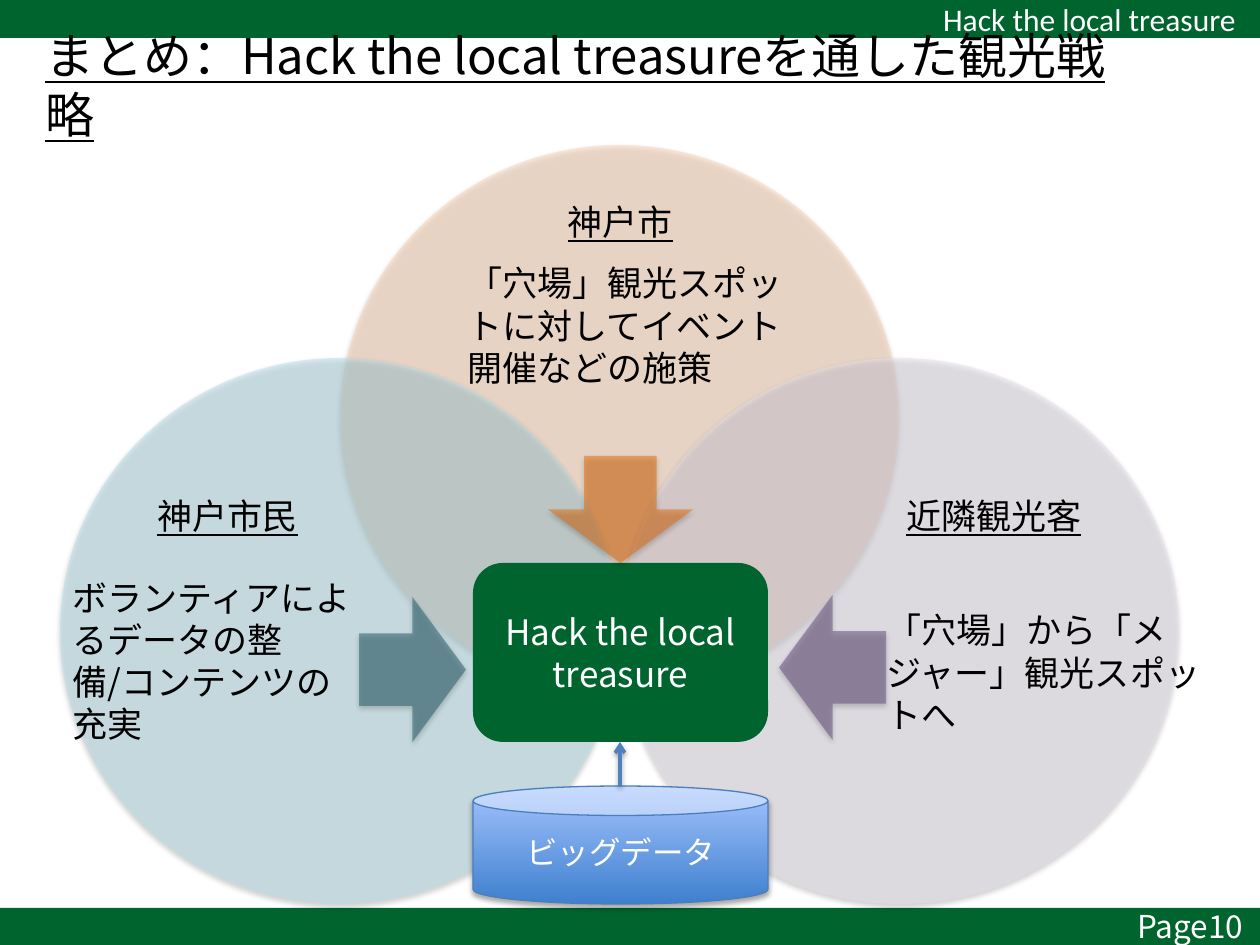
from lxml import etree
from pptx import Presentation
from pptx.dml.color import RGBColor
from pptx.enum.shapes import MSO_CONNECTOR, MSO_SHAPE
from pptx.enum.text import MSO_ANCHOR, PP_ALIGN
from pptx.oxml.ns import qn
from pptx.util import Emu, Pt

RECT, OVAL, ROUNDED = MSO_SHAPE.RECTANGLE, MSO_SHAPE.OVAL, MSO_SHAPE.ROUNDED_RECTANGLE
CAN, DOWN_ARROW = MSO_SHAPE.CAN, MSO_SHAPE.DOWN_ARROW
STRAIGHT = MSO_CONNECTOR.STRAIGHT
MIDDLE = MSO_ANCHOR.MIDDLE
LEFT, CENTER = PP_ALIGN.LEFT, PP_ALIGN.CENTER

PX = 914400 / 126
GOTHIC, CALIBRI = "Noto Sans CJK JP", "Calibri"
GREEN, WHITE, BLACK = "00642F", "FFFFFF", "000000"
SLIDE_W, SLIDE_H = 1260, 945
CIRCLE_W, CIRCLE_H = 559, 546
ARROW_W, ARROW_H = 145, 107

ACTORS = [
    dict(circle=(280, 0), tint="FCD5B5",
         name="神戸市", name_box=(182, 30, 197, 93),
         role="「穴場」観光スポットに対してイベント開催などの施策",
         role_box=(115, 104, 344, 152),
         arrow=(75, -107), arrow_color="E46C0A", turn=0),
    dict(circle=(560, 213), tint="E6E0EC",
         name="近隣観光客", name_box=(239, 111, 270, 93),
         role="「穴場」から「メジャー」観光スポットへ",
         role_box=(254, 184, 343, 260),
         arrow=(287, 51), arrow_color="604A7B", turn=90),
    dict(circle=(0, 213), tint="B7DEE8",
         name="神戸市民", name_box=(69, 111, 197, 93),
         role="ボランティアによるデータの整備/コンテンツの充実",
         role_box=(0, 172, 309, 260),
         arrow=(-133, 53), arrow_color="215968", turn=270),
]


def px(value):
    return Emu(round(value * PX))


def color(hex_string):
    return RGBColor.from_string(hex_string)


def inside(box, part):
    return (box[0] + part[0], box[1] + part[1], *part[2:])


def write(holder, text, size, ink, align=CENTER, font=GOTHIC, underline=False):
    frame = holder.text_frame
    frame.word_wrap = True
    frame.vertical_anchor = MIDDLE
    frame.text = text
    paragraph = frame.paragraphs[0]
    paragraph.alignment = align
    for run in paragraph.runs:
        run.font.size = Pt(size)
        run.font.color.rgb = color(ink)
        run.font.name = font
        if underline:
            run.font.underline = True
        east_asian = etree.SubElement(run.font._element, qn("a:ea"))
        east_asian.set("typeface", font)


def add_text(slide, box, text, size, ink=BLACK, **style):
    holder = slide.shapes.add_textbox(*map(px, box))
    write(holder, text, size, ink, **style)


def add_form(slide, kind, box, fill, opacity=100):
    form = slide.shapes.add_shape(kind, *map(px, box))
    form.shadow.inherit = False
    form.fill.solid()
    form.fill.fore_color.rgb = color(fill)
    form.line.fill.background()
    if opacity < 100:
        tone = form._element.spPr.find(qn("a:solidFill"))[0]
        etree.SubElement(tone, qn("a:alpha")).set("val", str(opacity * 1000))
    return form


def add_shadow(form, opacity=35, distance=1.8):
    properties = form._element.spPr
    effects = properties.find(qn("a:effectLst"))
    if effects is None:
        effects = etree.SubElement(properties, qn("a:effectLst"))
    shadow = etree.SubElement(effects, qn("a:outerShdw"), blurRad=str(Pt(3.1)),
                              dist=str(Pt(distance)), dir="5400000", rotWithShape="0")
    tone = etree.SubElement(shadow, qn("a:srgbClr"), val=BLACK)
    etree.SubElement(tone, qn("a:alpha"), val=str(opacity * 1000))


def add_header(slide, box):
    add_form(slide, RECT, box, GREEN)
    add_text(slide, inside(box, (919, 0, 341, 38)), "Hack the local treasure",
             18, WHITE, font=CALIBRI)


def add_footer(slide, box):
    add_form(slide, RECT, box, GREEN)
    add_text(slide, inside(box, (1121, -1, 139, 37)), "Page10", 18, WHITE)


def add_circles(slide, box):
    for actor in ACTORS:
        circle = inside(box, (*actor["circle"], CIRCLE_W, CIRCLE_H))
        add_shadow(add_form(slide, OVAL, circle, actor["tint"], 50))


def add_captions(slide, box):
    for actor in ACTORS:
        circle = inside(box, actor["circle"])
        add_text(slide, inside(circle, actor["name_box"]), actor["name"], 20, underline=True)
        add_text(slide, inside(circle, actor["role_box"]), actor["role"], 20, align=LEFT)


def add_hub(slide, box):
    hub = add_form(slide, ROUNDED, box, GREEN)
    write(hub, "Hack the local treasure", 20, WHITE)
    for actor in ACTORS:
        arrow = add_form(slide, DOWN_ARROW, inside(box, (*actor["arrow"], ARROW_W, ARROW_H)),
                         actor["arrow_color"], 50)
        arrow.rotation = actor["turn"]
        add_shadow(arrow)


def add_big_data(slide, box):
    store = add_form(slide, CAN, inside(box, (0, 44, 295, 118)), "3F80CE")
    store.fill.gradient()
    store.fill.gradient_angle = 90
    for stop, tone in zip(store.fill.gradient_stops, ("3F80CE", "A4C4FF")):
        stop.color.rgb = color(tone)
    store.line.color.rgb = color("4B7EBC")
    store.line.width = Pt(0.75)
    add_shadow(store)
    write(store, "ビッグデータ", 18, WHITE)

    ends = inside(box, (147, 44)) + inside(box, (147, 0))
    feed = slide.shapes.add_connector(STRAIGHT, *map(px, ends))
    feed.line.color.rgb = color("4F81BD")
    feed.line.width = Pt(2)
    etree.SubElement(feed.line._get_or_add_ln(), qn("a:tailEnd"), type="arrow")
    add_shadow(feed, 38, 1.6)


def main():
    deck = Presentation()
    deck.slide_width, deck.slide_height = px(SLIDE_W), px(SLIDE_H)
    slide = deck.slides.add_slide(deck.slide_layouts[6])
    venn = (60, 145, 1119, 759)
    add_header(slide, (0, 0, SLIDE_W, 38))
    add_footer(slide, (0, 908, SLIDE_W, 37))
    add_circles(slide, venn)
    add_text(slide, (33, 38, 1113, 93),
             "まとめ：Hack the local treasureを通した観光戦略", 28, align=LEFT, underline=True)
    add_captions(slide, venn)
    add_hub(slide, (473, 563, 295, 179))
    add_big_data(slide, (473, 742, 295, 162))
    deck.save("out.pptx")


if __name__ == "__main__":
    main()
